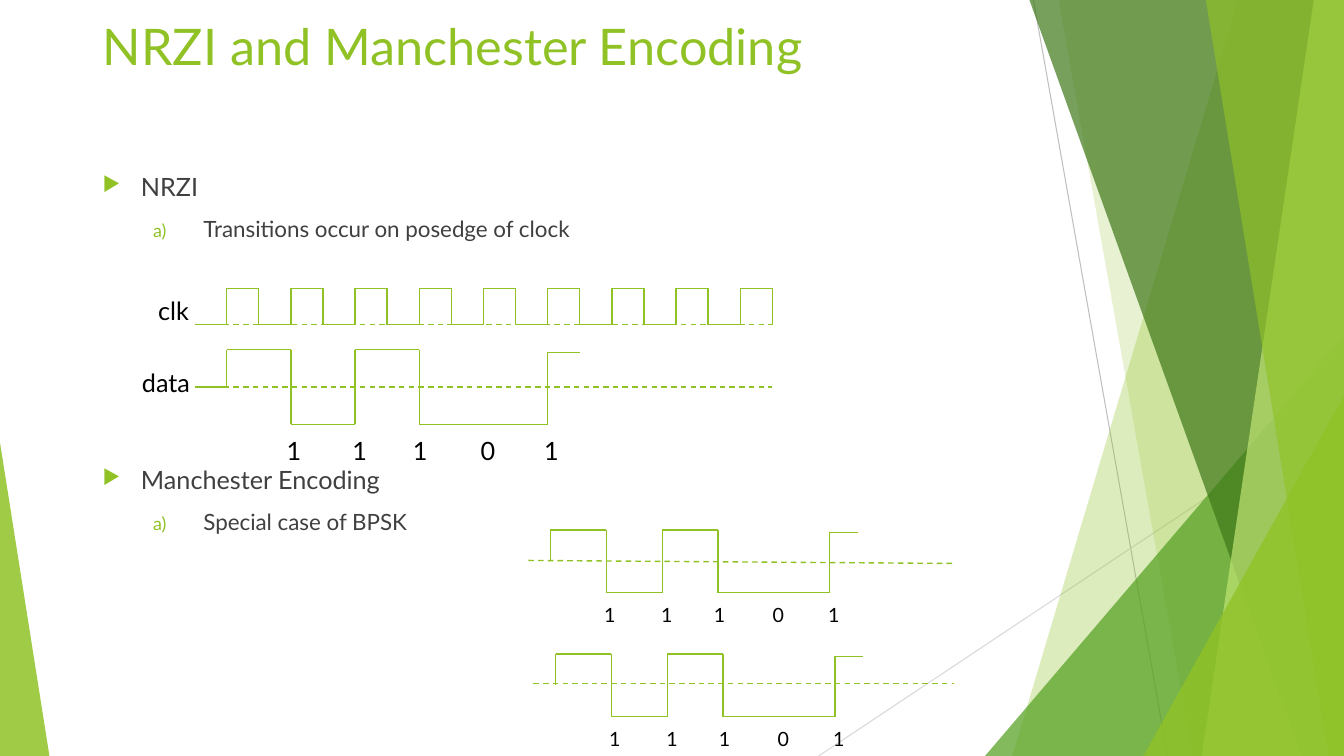
from itertools import pairwise

from lxml.etree import SubElement
from pptx import Presentation
from pptx.dml.color import RGBColor
from pptx.enum.dml import MSO_LINE
from pptx.enum.shapes import MSO_CONNECTOR, MSO_SHAPE
from pptx.enum.text import MSO_ANCHOR
from pptx.oxml.ns import qn
from pptx.util import Inches, Pt

WIDTH, HEIGHT = 13.33, 7.5
FONT = "Lato"
GREEN, DARK, BLACK = "90C226", "404040", "000000"

# Signal level in each half bit; the last pulse stops just below the top
LEVELS = (1, 1, -1, -1, 1, 1, -1, -1, -1, -1, 0.93)
BITS = "11101"
BIT_COLUMNS = (1.56, 3.61, 5.49, 7.6, 9.58)


def color(hex_code):
    return RGBColor.from_string(hex_code)


def paint(shape, hex_code, opacity):
    """Fill a shape with a see-through colour, without outline or shadow."""
    shape.shadow.inherit = False
    shape.line.fill.background()
    shape.fill.solid()
    shape.fill.fore_color.rgb = color(hex_code)
    solid = shape._element.spPr.find(qn("a:solidFill"))
    SubElement(solid[0], qn("a:alpha"), val=str(opacity * 1000))


def add_line(page, start, end, hex_code=GREEN, width=1, dashed=False):
    line = page.shapes.add_connector(
        MSO_CONNECTOR.STRAIGHT, *(Inches(value) for value in (*start, *end)))
    line.line.color.rgb = color(hex_code)
    line.line.width = Pt(width)
    if dashed:
        line.line.dash_style = MSO_LINE.DASH
    SubElement(line._element.spPr, qn("a:effectLst"))


def add_trace(page, points):
    for start, end in pairwise(points):
        add_line(page, start, end)


def write(para, text, size=18, hex_code=BLACK):
    span = para.add_run()
    span.text = text
    span.font.name = FONT
    span.font.size = Pt(size)
    span.font.color.rgb = color(hex_code)


def add_frame(page, left, top, width, height):
    box = page.shapes.add_textbox(
        Inches(left), Inches(top), Inches(width), Inches(height))
    frame = box.text_frame
    frame.word_wrap = True
    frame.vertical_anchor = MSO_ANCHOR.TOP
    frame.margin_right = 0
    return frame


def add_text(page, text, left, top, width, height=0.34, **style):
    write(add_frame(page, left, top, width, height).paragraphs[0], text, **style)


def add_bullet(para, margin, hanging, tag, **mark):
    properties = para._p.get_or_add_pPr()
    properties.set("marL", str(Inches(margin)))
    properties.set("indent", str(-Inches(hanging)))
    tint = SubElement(properties, qn("a:buClr"))
    SubElement(tint, qn("a:srgbClr"), val=GREEN)
    SubElement(properties, qn("a:buSzPct"), val="80000")
    SubElement(properties, qn(tag), **mark)


def add_backdrop(page):
    """Draw the thin lines and green facets along the slide's edges."""
    def facet(top_left, top_right, bottom_right, bottom_left, hex_code, opacity):
        builder = page.shapes.build_freeform(
            Inches(top_left), 0, scale=1.0)
        corners = ((top_right, 0), (bottom_right, HEIGHT), (bottom_left, HEIGHT))
        builder.add_line_segments(
            [(Inches(x), Inches(y)) for x, y in corners], close=True)
        paint(builder.convert_to_shape(), hex_code, opacity)

    def wedge(left, width, height, apex, hex_code, opacity):
        """Stand a triangle on the bottom edge."""
        shape = page.shapes.add_shape(
            MSO_SHAPE.ISOSCELES_TRIANGLE, Inches(left), Inches(HEIGHT - height),
            Inches(width), Inches(height))
        shape.adjustments[0] = apex
        paint(shape, hex_code, opacity)

    add_line(page, (10.25, 0), (11.58, HEIGHT), "BFBFBF", 0.75)
    add_line(page, (WIDTH, 4.03), (8.12, HEIGHT), "D9D9D9", 0.75)
    facet(12.28, WIDTH, WIDTH, 10.04, GREEN, 30)
    facet(10.5, WIDTH, WIDTH, 11.83, GREEN, 20)
    wedge(9.77, WIDTH - 9.77, 4.17, 1, "54A021", 72)
    facet(10.21, WIDTH, WIDTH, 12.91, "3F7819", 70)
    facet(13.03, WIDTH, WIDTH, 11.92, "C0E474", 70)
    facet(11.96, WIDTH, WIDTH, 13.18, GREEN, 65)
    wedge(11.34, WIDTH - 11.34, 3.57, 1, GREEN, 80)
    wedge(0, 0.49, 3.11, 0, GREEN, 85)


def add_outline(page, left, top, width, height):
    """Write the two topics, leaving room for the timing diagram between them."""
    frame = add_frame(page, left, top, width, height)
    topics = (
        ("NRZI", "Transitions occur on posedge of clock", 0),
        ("Manchester Encoding", "Special case of BPSK", 158.5),
    )
    for index, (topic, detail, gap) in enumerate(topics):
        para = frame.add_paragraph() if index else frame.paragraphs[0]
        para.space_before = Pt(gap)
        add_bullet(para, 0.38, 0.38, "a:buChar", char="▶")
        write(para, topic, hex_code=DARK)
        para = frame.add_paragraph()
        para.level = 1
        para.space_before = Pt(10)
        add_bullet(para, 1, 0.5, "a:buAutoNum", type="alphaLcParenR")
        write(para, detail, size=16, hex_code=DARK)


def add_clock(page, left, top, width, height, pulses=9):
    step, bottom = width / (2 * pulses), top + height
    points = [(left, bottom)]
    for pulse in range(pulses):
        rise = left + (2 * pulse + 1) * step
        fall = rise + step
        points += [(rise, bottom), (rise, top), (fall, top), (fall, bottom)]
    add_trace(page, points)
    add_line(page, (left, bottom), (left + width, bottom), dashed=True)


def add_signal(page, left, middle, step, swing, size, digit_width):
    """Draw the coded wave around its middle level, with the bits below it."""
    points = [(left, middle)]
    previous = 0
    for column, level in enumerate(LEVELS):
        x, y = left + column * step, middle - level * swing
        if previous * level < 0:
            points.append((x, middle))
        if previous != level:
            points.append((x, y))
        points.append((x + step, y))
        previous = level
    add_trace(page, points)
    for bit, column in zip(BITS, BIT_COLUMNS):
        add_text(page, bit, left + column * step, middle + 1.17 * swing,
                 digit_width, size=size)


def add_nrzi_diagram(page, left, top, width):
    step, middle = width / 18, top + 0.98
    add_text(page, "clk", left - 0.46, top + 0.02, 0.56)
    add_text(page, "data", left - 0.62, middle - 0.25, 0.71)
    add_clock(page, left, top, width, 0.36)
    add_line(page, (left, middle), (left + width, middle), dashed=True)
    add_line(page, (left, middle), (left + step, middle))
    add_signal(page, left + step, middle, step, 0.37, 18, 0.24)


def add_manchester_diagram(page, left, middle, axis_start, axis_end):
    add_signal(page, left, middle, 0.277, 0.31, 14, 0.21)
    add_line(page, axis_start, axis_end, dashed=True)


def build_encoding_slide(deck):
    page = deck.slides.add_slide(deck.slide_layouts[6])
    add_backdrop(page)
    add_text(page, "NRZI and Manchester Encoding", 0.92, 0.1, 11.5, 1.45,
             size=36, hex_code=GREEN)
    add_outline(page, 0.92, 1.65, 9.17, 4.76)
    add_nrzi_diagram(page, 1.93, 2.86, 5.73)
    add_manchester_diagram(page, 5.46, 5.57, (5.24, 5.56), (9.46, 5.59))
    add_manchester_diagram(page, 5.51, 6.8, (5.29, 6.78), (9.46, 6.78))


def main():
    deck = Presentation()
    deck.slide_width, deck.slide_height = Inches(WIDTH), Inches(HEIGHT)
    build_encoding_slide(deck)
    deck.save("out.pptx")


if __name__ == "__main__":
    main()
